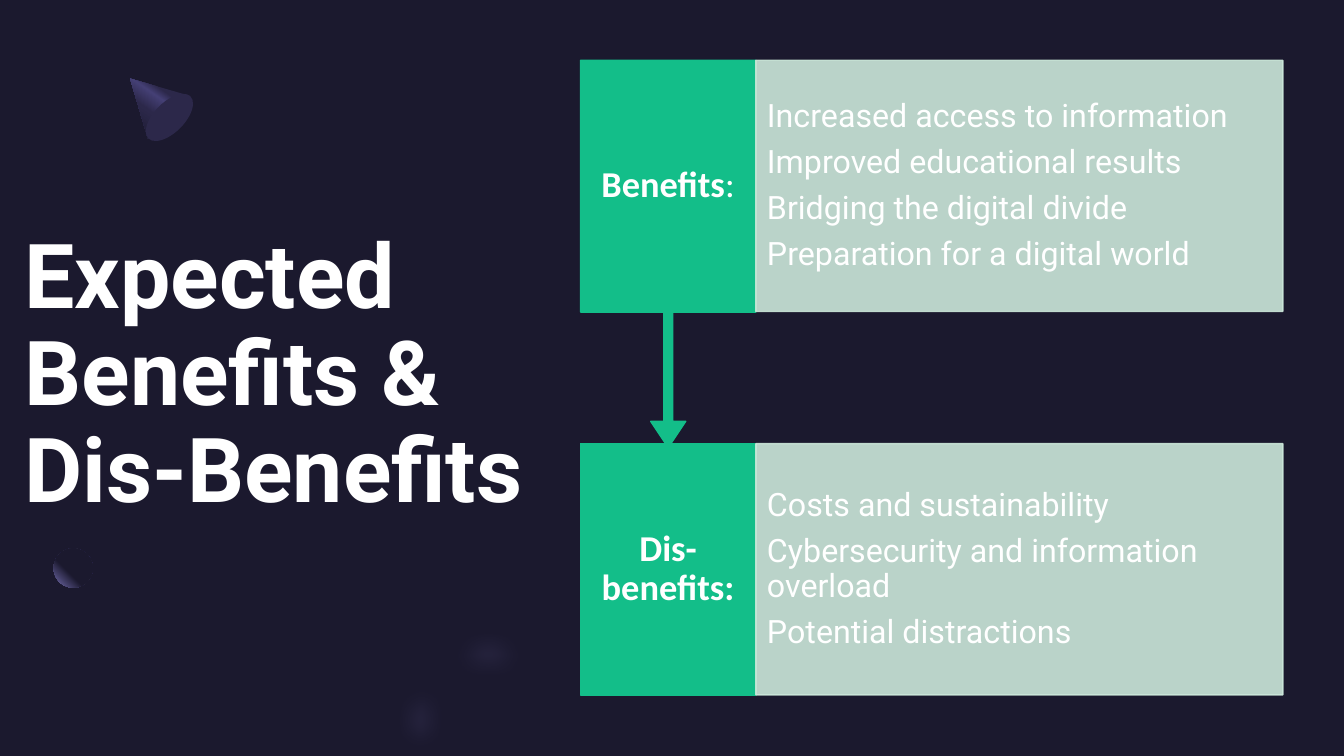
import pptx
import pptx.util
import pptx.dml.color
import pptx.enum.shapes
import pptx.enum.text
import pptx.oxml
import pptx.oxml.ns
from pptx.util import Cm

NIGHT, DUSK, VIOLET, LILAC = "1B192E", "2C284A", "454075", "7771B2"
GREEN, MINT, WHITE = "13BE89", "CCE8DA", "FFFFFF"
SHAPE = pptx.enum.shapes.MSO_SHAPE
ALIGN = pptx.enum.text.PP_ALIGN

SLIDE_WIDTH, SLIDE_HEIGHT = 33.87, 19.05
LABEL_LEFT, LABEL_WIDTH = 14.63, 4.42
PANEL_LEFT, PANEL_WIDTH = 19.05, 13.28
BENEFITS_TOP, DISBENEFITS_TOP, ROW_HEIGHT = 1.52, 11.18, 6.33
CALLOUT_HEIGHT = 9.76


def rgb(color):
    return pptx.dml.color.RGBColor.from_string(color)


def paint(shape, color, alpha=None, outlined=False):
    shape.shadow.inherit = False
    shape.fill.solid()
    shape.fill.fore_color.rgb = rgb(color)
    if outlined:
        shape.line.color.rgb = rgb(color)
        shape.line.width = pptx.util.Pt(1)
    else:
        shape.line.fill.background()
    if alpha is not None:
        for tint in shape._element.spPr.iter(pptx.oxml.ns.qn("a:srgbClr")):
            opacity = tint.makeelement(pptx.oxml.ns.qn("a:alpha"),
                                       {"val": str(alpha * 1000)})
            tint.append(opacity)


def paint_gradient(shape, stops, angle=None, focus=(50, 50, 50, 50)):
    """Linear when an angle is given, otherwise circular around the focus."""
    paint(shape, NIGHT)
    stop_xml = "".join(
        f'<a:gs pos="{position * 1000}"><a:srgbClr val="{color}"/></a:gs>'
        for position, color in stops)
    if angle is not None:
        course = f'<a:lin ang="{angle * 60000}" scaled="0"/>'
    else:
        sides = " ".join(f'{side}="{share * 1000}"'
                         for side, share in zip("ltrb", focus))
        course = f'<a:path path="circle"><a:fillToRect {sides}/></a:path>'
    gradient = pptx.oxml.parse_xml(
        f'<a:gradFill {pptx.oxml.ns.nsdecls("a")} rotWithShape="1">'
        f'<a:gsLst>{stop_xml}</a:gsLst>{course}</a:gradFill>')
    properties = shape._element.spPr
    properties.replace(properties.find(pptx.oxml.ns.qn("a:solidFill")), gradient)


def soften(shape, radius):
    effects = shape._element.spPr.find(pptx.oxml.ns.qn("a:effectLst"))
    effects.append(effects.makeelement(pptx.oxml.ns.qn("a:softEdge"),
                                       {"rad": str(int(Cm(radius)))}))


def add_shape(slide, kind, left, top, width, height, rotation=0):
    shape = slide.shapes.add_shape(kind, Cm(left), Cm(top), Cm(width), Cm(height))
    shape.rotation = rotation
    return shape


def add_outline(slide, points):
    (start_x, start_y), *rest = points
    builder = slide.shapes.build_freeform(Cm(start_x), Cm(start_y))
    builder.add_line_segments([(Cm(x), Cm(y)) for x, y in rest])
    return builder.convert_to_shape()


def curve(start, *controls, steps=10):
    """Points along joined cubic curves; each three controls make one curve."""
    points = [start]
    for index in range(0, len(controls), 3):
        a, (b, c, d) = points[-1], controls[index:index + 3]
        for t in (step / steps for step in range(1, steps + 1)):
            u = 1 - t
            points.append(tuple(
                u**3 * p + 3 * u * u * t * q + 3 * u * t * t * r + t**3 * s
                for p, q, r, s in zip(a, b, c, d)))
    return points


def add_box(slide, left, top, width, height):
    return slide.shapes.add_textbox(Cm(left), Cm(top), Cm(width), Cm(height))


def write(shape, paragraphs, font, size, bold=False, align=ALIGN.LEFT,
          inset=(0, 0), space_after=0.0):
    """Each paragraph is a text, or a list of (text, bold) runs."""
    frame = shape.text_frame
    frame.word_wrap = True
    frame.auto_size = pptx.enum.text.MSO_AUTO_SIZE.NONE
    frame.vertical_anchor = pptx.enum.text.MSO_ANCHOR.MIDDLE
    frame.margin_left = frame.margin_right = Cm(inset[0])
    frame.margin_top = frame.margin_bottom = Cm(inset[1])
    for index, content in enumerate(paragraphs):
        paragraph = frame.add_paragraph() if index else frame.paragraphs[0]
        paragraph.alignment = align
        paragraph.line_spacing = 0.9
        paragraph.space_after = pptx.util.Pt(round(size * space_after, 1))
        runs = [(content, bold)] if isinstance(content, str) else content
        for text, run_bold in runs:
            run = paragraph.add_run()
            run.text = text
            run.font.name = font
            run.font.size = pptx.util.Pt(size)
            run.font.bold = run_bold
            run.font.color.rgb = rgb(WHITE)


def write_label(shape, runs):
    write(shape, [runs], "Calibri", 26, align=ALIGN.CENTER,
          inset=(0.3, 0.5), space_after=0.35)


def add_panel(slide, top, points):
    panel = add_shape(slide, SHAPE.RECTANGLE, PANEL_LEFT, top,
                      PANEL_WIDTH, ROW_HEIGHT)
    paint(panel, MINT, alpha=90, outlined=True)
    write(panel, points, "Roboto", 23, inset=(0.28, 0.81), space_after=0.35)


def add_decorations(slide):
    # Cone: a shaded side closed by its base
    side = add_outline(slide, [(3.28, 1.98), (4.8, 2.42), (3.73, 3.5)])
    paint_gradient(side, [(0, DUSK), (30, DUSK), (40, VIOLET), (60, DUSK),
                          (100, NIGHT)], angle=125)
    paint(add_shape(slide, SHAPE.OVAL, 3.89, 2.21, 0.76, 1.5, 45), DUSK)

    # Sphere lit from the lower left
    sphere = add_shape(slide, SHAPE.OVAL, 1.35, 13.82, 0.99, 0.99)
    paint_gradient(sphere, [(0, NIGHT), (60, NIGHT), (100, LILAC)],
                   focus=(100, 0, 0, 100))

    # Half ring running off the lower edge, with its soft glow
    ring = (curve((9.86, 18.95), (9.6, 18.08), (9.8, 17.1), (10.49, 16.41),
                  (11.48, 15.4), (13.14, 15.4), (14.15, 16.41))
            + curve((13.23, 17.3), (12.73, 16.81), (11.91, 16.81), (11.4, 17.3),
                    (10.97, 17.75), (10.92, 18.42), (11.25, 18.92))
            + [(11.35, SLIDE_HEIGHT), (9.88, SLIDE_HEIGHT)])
    paint(add_outline(slide, ring), NIGHT)
    glow = (curve((9.96, 18.87), (9.75, 17.98), (9.93, 17.07), (10.57, 16.46),
                  (11, 16), (11.58, 15.8), (12.19, 15.77),
                  (12.98, 15.72), (13.79, 16.05), (14.43, 16.69))
            + curve((13.54, 17.6), (12.95, 17.02), (12.09, 16.97), (11.58, 17.48),
                    (11.23, 17.86), (11.15, 18.44), (11.38, 18.95))
            + [(11.43, SLIDE_HEIGHT), (10.01, SLIDE_HEIGHT)])
    glow_ring = add_outline(slide, glow)
    paint(glow_ring, LILAC, alpha=40)
    soften(glow_ring, 0.56)
    paint(add_shape(slide, SHAPE.OVAL, 13.54, 16.21, 0.3, 1.3, 45), NIGHT)


def main():
    deck = pptx.Presentation()
    deck.slide_width, deck.slide_height = Cm(SLIDE_WIDTH), Cm(SLIDE_HEIGHT)
    slide = deck.slides.add_slide(deck.slide_layouts[6])
    slide.background.fill.solid()
    slide.background.fill.fore_color.rgb = rgb(NIGHT)
    paint(add_shape(slide, SHAPE.RECTANGLE, 0, 0, SLIDE_WIDTH, SLIDE_HEIGHT), NIGHT)

    # Title side
    title = add_box(slide, 0.62, 4.24, 13.46, 10.49)
    write(title, ["Expected Benefits & Dis-Benefits"], "Roboto", 64, bold=True)
    add_decorations(slide)

    # Dis-benefits row
    disbenefits = add_shape(slide, SHAPE.RECTANGLE, LABEL_LEFT, DISBENEFITS_TOP,
                            LABEL_WIDTH, ROW_HEIGHT)
    paint(disbenefits, GREEN, outlined=True)
    write_label(disbenefits, [("Dis-benefits:", True)])
    add_panel(slide, DISBENEFITS_TOP, ["Costs and sustainability",
                                       "Cybersecurity and information overload",
                                       "Potential distractions"])

    # Benefits row, its callout pointing down to the next row
    callout = add_shape(slide, SHAPE.UP_ARROW_CALLOUT, LABEL_LEFT, BENEFITS_TOP,
                        LABEL_WIDTH, CALLOUT_HEIGHT, 180)
    for index, value in enumerate((0.05, 0.1, 0.15, 0.65)):
        callout.adjustments[index] = value
    paint(callout, GREEN, outlined=True)
    benefits = add_box(slide, LABEL_LEFT, BENEFITS_TOP, LABEL_WIDTH, ROW_HEIGHT)
    write_label(benefits, [("Benefits", True), (":", False)])
    add_panel(slide, BENEFITS_TOP, ["Increased access to information",
                                    "Improved educational results",
                                    "Bridging the digital divide",
                                    "Preparation for a digital world"])

    deck.save("out.pptx")


if __name__ == "__main__":
    main()
